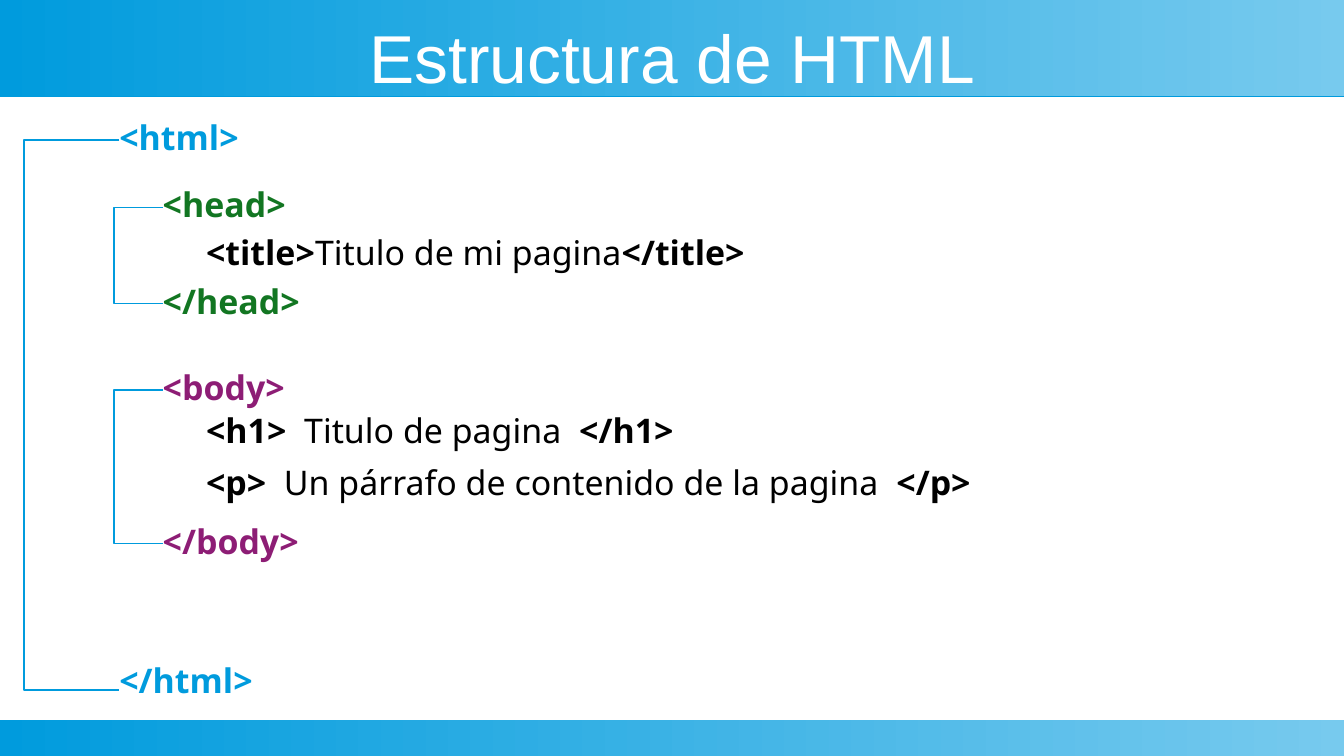
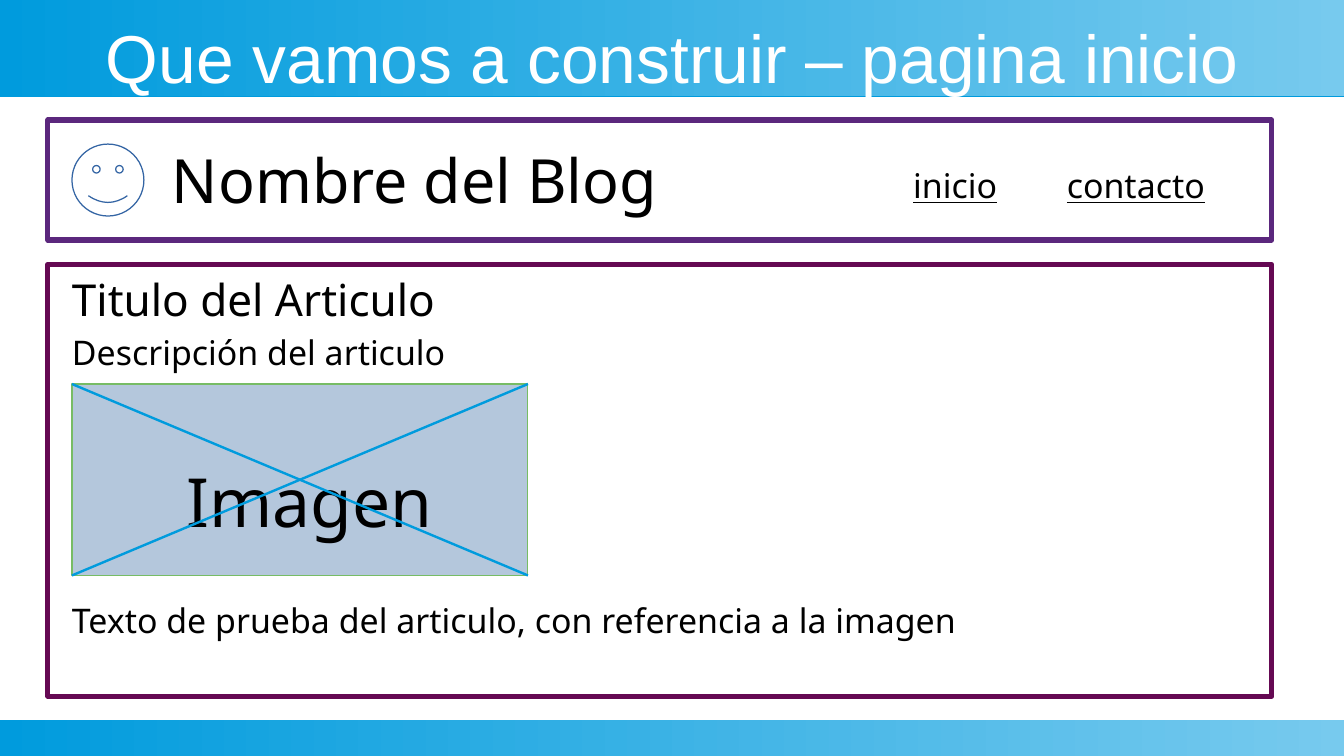
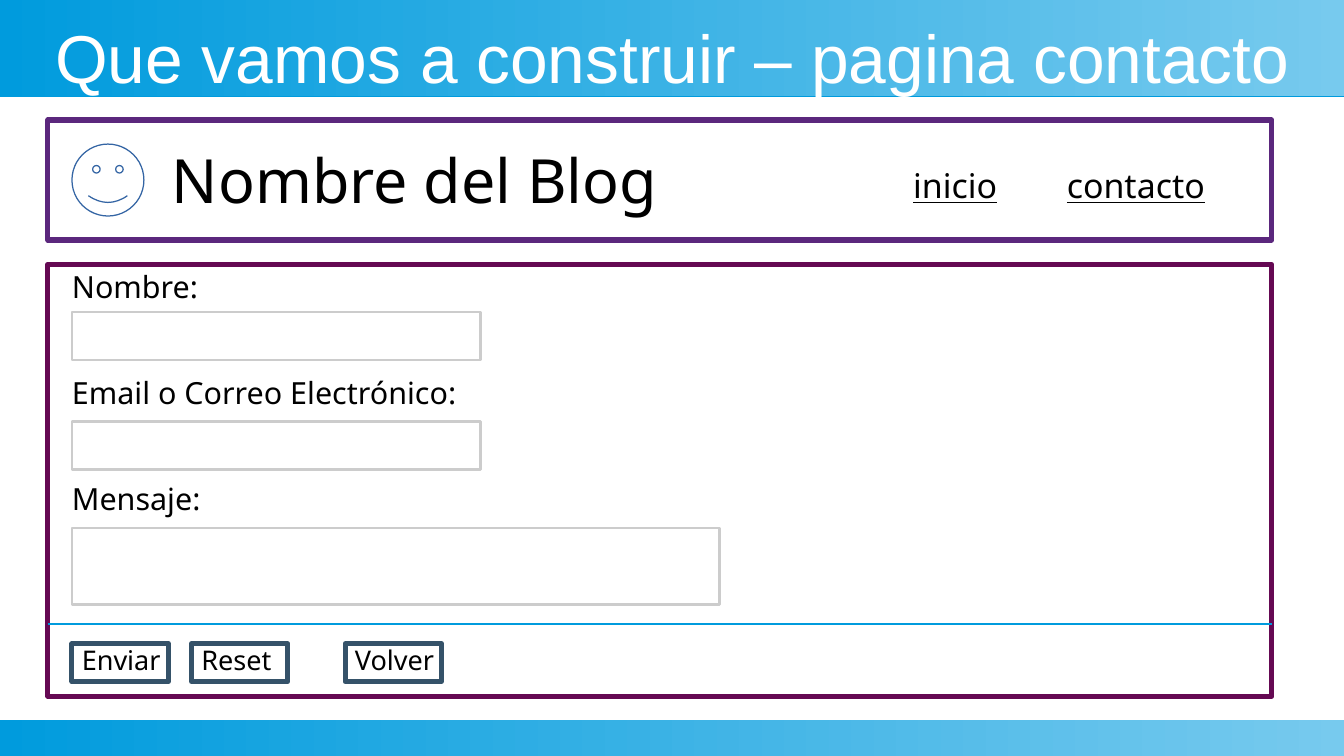
from lxml import etree
from pptx import Presentation
from pptx.dml.color import RGBColor
from pptx.enum.shapes import MSO_CONNECTOR, MSO_SHAPE
from pptx.enum.text import MSO_ANCHOR, MSO_AUTO_SIZE, PP_ALIGN
from pptx.oxml.ns import qn
from pptx.util import Pt

RECT, FACE = MSO_SHAPE.RECTANGLE, MSO_SHAPE.SMILEY_FACE
STRAIGHT = MSO_CONNECTOR.STRAIGHT
LEFT, CENTER = PP_ALIGN.LEFT, PP_ALIGN.CENTER
TOP, MIDDLE = MSO_ANCHOR.TOP, MSO_ANCHOR.MIDDLE
NO_FIT, GROW = MSO_AUTO_SIZE.NONE, MSO_AUTO_SIZE.SHAPE_TO_FIT_TEXT

COLORS = {
    "blue": "009BDD", "sky": "77CAEE", "white": "FFFFFF", "black": "000000",
    "green": "127622", "plum": "8D1D75", "violet": "5B277D", "wine": "650953",
    "face": "3465A4", "image": "B4C7DC", "image_edge": "77BC65",
    "field": "CCCCCC", "button": "355269",
}
TITLE_FONT, TEXT_FONT = "Arial", "Noto Sans"
SLIDE_W, SLIDE_H = 793.7, 446.5
HEADER_BOX = (28.3, 70.9, 722.8, 70.9)
CONTENT_BOX = (28.3, 156.2, 722.8, 255)
CODE_BOX = (14.2, 69.1)
PAD = 14.2


def rgb(name):
    return RGBColor.from_string(COLORS[name])


def points(*values):
    return [Pt(v) for v in values]


# Basic parts
def style_shape(sp, line, width, fill=None):
    sp.shadow.inherit = False
    if fill:
        sp.fill.solid()
        sp.fill.fore_color.rgb = rgb(fill)
    else:
        sp.fill.background()
    sp.line.color.rgb = rgb(line)
    sp.line.width = Pt(width)
    return sp


def add_box(s, box, line, width, fill=None, kind=RECT):
    return style_shape(s.shapes.add_shape(kind, *points(*box)), line, width, fill)


def add_line(s, x1, y1, x2, y2):
    line = s.shapes.add_connector(STRAIGHT, *points(x1, y1, x2, y2))
    line.line.color.rgb = rgb("blue")
    line.line.width = Pt(1.42)
    etree.SubElement(line.element.spPr, qn("a:effectLst"))


def set_frame(tf, anchor=TOP, fit=NO_FIT, left=0):
    tf.word_wrap = True
    tf.auto_size = fit
    tf.vertical_anchor = anchor
    tf.margin_left = Pt(left)
    tf.margin_top = tf.margin_right = tf.margin_bottom = 0


def add_run(p, text, size, color="black", font=TEXT_FONT, bold=False, underline=False):
    r = p.add_run()
    r.text = text
    r.font.name, r.font.size = font, Pt(size)
    r.font.bold, r.font.underline = bold, underline
    r.font.color.rgb = rgb(color)
    return r


def add_text(s, x, y, w, text, size, **style):
    """Adds a text box; its height follows the font size."""
    tf = s.shapes.add_textbox(*points(x, y, w, size * 1.36)).text_frame
    set_frame(tf, fit=GROW)
    p = tf.paragraphs[0]
    if text:
        add_run(p, text, size, **style)
    return p


# Shared look: bands and title place belong to the layout
def add_band(s, layout, y, h):
    band = s.shapes.add_shape(RECT, *points(0, y, SLIDE_W, h))
    band.line.fill.background()
    band.fill.gradient()
    band.fill.gradient_angle = 0
    for stop, name in zip(band.fill.gradient_stops, ("blue", "sky")):
        stop.color.rgb = rgb(name)
    band.shadow.inherit = False
    effects = band.element.spPr.find(qn("a:effectLst"))
    shadow = etree.SubElement(effects, qn("a:outerShdw"), blurRad="0",
                              dist=str(Pt(0.9)), dir="5400000", rotWithShape="0")
    etree.SubElement(shadow, qn("a:srgbClr"), val=COLORS["blue"])
    layout.shapes.element.insert(2, band.element)


def set_title_place(layout):
    title = layout.placeholders[0]
    title.left, title.top, title.width, title.height = points(28.3, 10.8, 737.2, 44.6)


def new_slide(prs, layout, title):
    s = prs.slides.add_slide(layout)
    tf = s.shapes.title.text_frame
    set_frame(tf, MIDDLE)
    p = tf.paragraphs[0]
    p.alignment = CENTER
    add_run(p, title, 40, "white", TITLE_FONT)
    return s


# Code outline with brackets
def add_bracket(s, x, y1, y2, depth, width):
    path = s.shapes.build_freeform(Pt(x), Pt(y1))
    corners = [(x - depth, y1), (x - depth, y2), (x, y2)]
    path.add_line_segments([points(*c) for c in corners], close=False)
    style_shape(path.convert_to_shape(), "blue", width)


def add_code(s, x, y):
    first, indent = 56.3, 25.6
    tags = [  # level, top, text, colour
        (0, 0, "<html>", "blue"), (0, 320.4, "</html>", "blue"),
        (1, 39.6, "<head>", "green"), (1, 96.5, "</head>", "green"),
        (1, 147.6, "<body>", "plum"), (1, 238.3, "</body>", "plum"),
    ]
    for level, top, text, color in tags:
        add_text(s, x + first + indent * level, y + top, 130, text, 20,
                 color=color, bold=True)

    contents = [  # top, tag, text, letter spacing of the gap beside the tags
        (67.7, "title", "Titulo de mi pagina", None),
        (172.8, "h1", "Titulo de pagina", 520),
        (203.8, "p", "Un párrafo de contenido de la pagina", 520),
    ]
    for top, tag, text, gap in contents:
        p = add_text(s, x + first + indent * 2, y + top, 490, "", 20)
        space = [" "] if gap else []
        for part in [f"<{tag}>", *space, text, *space, f"</{tag}>"]:
            r = add_run(p, part, 20, bold=part not in (text, " "))
            if part == " ":
                r.font._element.set("spc", str(gap))

    brackets = [  # level, top, bottom, depth, line width
        (0, 13.7, 338.4, first, 1), (1, 53.3, 110.2, 28.8, 0),
        (1, 161.3, 252, 28.8, 1),
    ]
    for level, top, bottom, depth, width in brackets:
        add_bracket(s, x + first + indent * level, y + top, y + bottom, depth, width)


# Blog header
def add_header(s, x, y, w, h):
    add_box(s, (x, y, w, h), "violet", 3)
    add_box(s, (x + PAD, y + PAD, 42.5, 42.5), "face", 0, kind=FACE)
    add_text(s, x + 73.2, y + 13.4, 310, "Nombre del Blog", 36)
    for left, text in ((511, "inicio"), (601.7, "contacto")):
        add_text(s, x + left, y + 26.3, 88, text, 20, underline=True)


# Home page: article
def add_article(s, x, y, w, h):
    add_box(s, (x, y, w, h), "wine", 3)
    left = x + PAD
    add_text(s, left, y + 5, 240, "Titulo del Articulo", 26)
    add_text(s, left, y + 39.6, 396.7, "Descripción del articulo", 20)
    add_image_frame(s, left, y + 70.6, 269.3, 113.1)
    add_text(s, left, y + 198, 560,
             "Texto de prueba del articulo, con referencia a la imagen", 20)


def add_image_frame(s, x, y, w, h):
    add_box(s, (x, y, w, h), "image_edge", 0, "image")
    add_text(s, x + 67.7, y + 44.6, 160, "Imagen", 40)
    add_line(s, x, y, x + w, y + h)
    add_line(s, x + w, y, x, y + h)


# Contact page: form
def add_form(s, x, y, w, h):
    add_box(s, (x, y, w, h), "wine", 3)
    left = x + PAD
    fields = [  # label, label top, field top, width, height
        ("Nombre:", 2, 28.1, 241.2, 28.3),
        ("Email o Correo Electrónico:", 64.8, 92.9, 241.2, 28.3),
        ("Mensaje:", 127.5, 155.6, 382.3, 45.4),
    ]
    for label, label_top, top, width, height in fields:
        add_text(s, left, y + label_top, 297.4, label, 18)
        add_box(s, (left, y + top, width, height), "field", 1.5)
    add_line(s, x, y + 212.4, x + w, y + 212.4)
    for offset, label in ((0, "Enviar"), (70.6, "Reset"), (161.3, "Volver")):
        add_button(s, left + offset, y + 224, 56.9, 22.3, label)


def add_button(s, x, y, w, h, label):
    tf = add_box(s, (x, y, w, h), "button", 3).text_frame
    set_frame(tf, left=5.8)
    p = tf.paragraphs[0]
    p.alignment = LEFT
    add_run(p, label, 16)


def main():
    prs = Presentation()
    prs.slide_width, prs.slide_height = points(SLIDE_W, SLIDE_H)
    layout = prs.slide_layouts[5]
    set_title_place(layout)

    s = new_slide(prs, layout, "Estructura de HTML")
    add_band(s, layout, 0, 56.7)
    add_band(s, layout, 425.3, 21.2)
    add_code(s, *CODE_BOX)

    pages = [("inicio", add_article), ("contacto", add_form)]
    for page, add_content in pages:
        s = new_slide(prs, layout, f"Que vamos a construir – pagina {page}")
        add_header(s, *HEADER_BOX)
        add_content(s, *CONTENT_BOX)

    prs.save("out.pptx")


if __name__ == "__main__":
    main()
